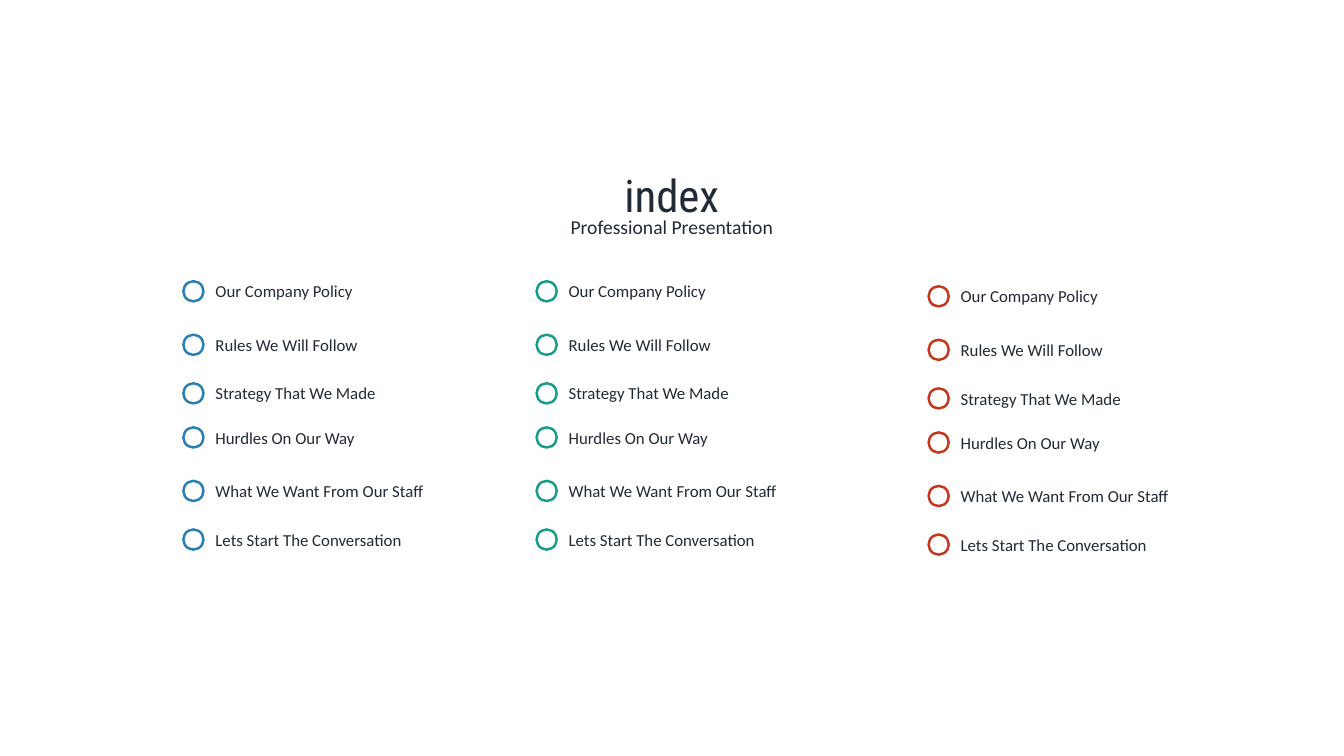
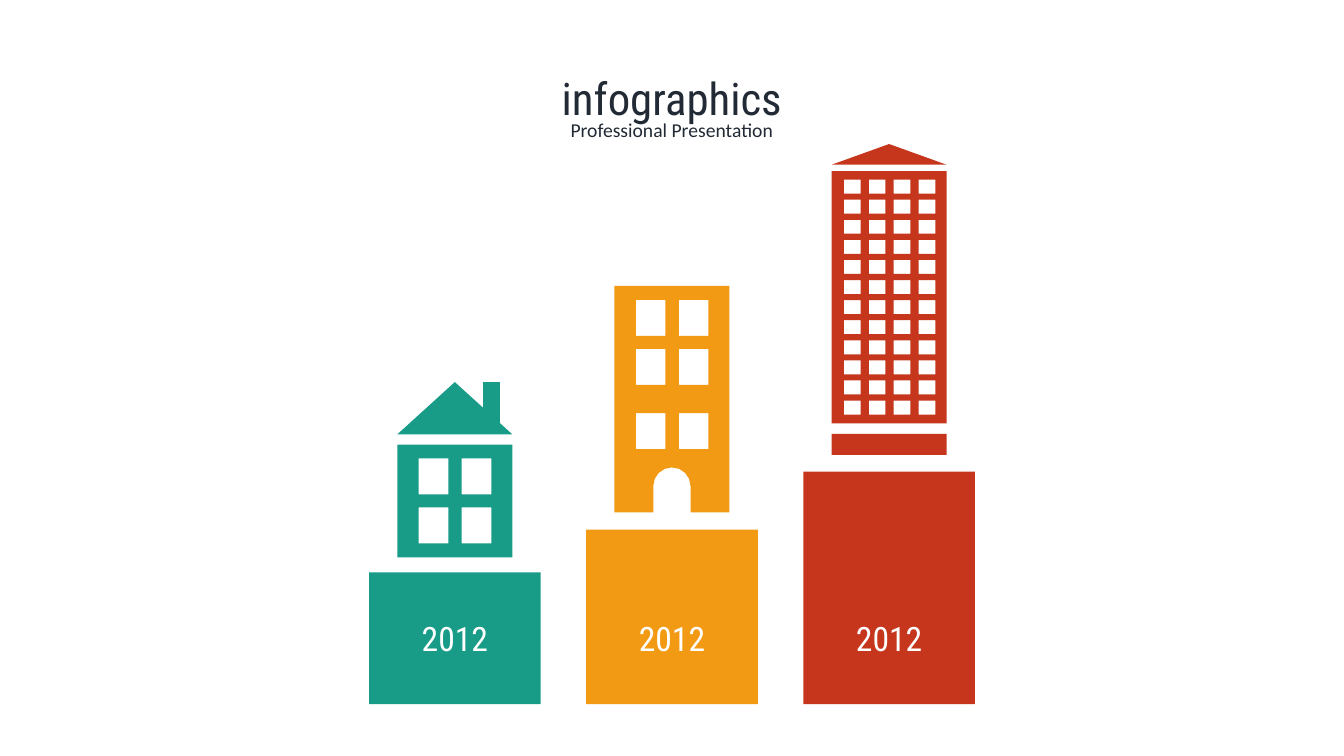
from math import cos, pi, sin

from pptx import Presentation
from pptx.dml.color import RGBColor
from pptx.enum.shapes import MSO_SHAPE
from pptx.enum.text import MSO_AUTO_SIZE, PP_ALIGN
from pptx.util import Pt

COLORS = {
    "ink": "222A35",
    "white": "FFFFFF",
    "blue": "267FB5",
    "green": "189C87",
    "orange": "F39A14",
    "red": "C5361C",
}
HEAD_FONT, BODY_FONT = "Roboto Condensed", "Calibri"
TOPICS = [
    "Our Company Policy", "Rules We Will Follow", "Strategy That We Made",
    "Hurdles On Our Way", "What We Want From Our Staff", "Lets Start The Conversation",
]
BUILDING_W = 82.2


def rgb(name):
    return RGBColor.from_string(COLORS[name])


# Shared drawing helpers
def add_text(slide, text, x, y, w, h, size, font=BODY_FONT, color="ink", align=PP_ALIGN.LEFT):
    tf = slide.shapes.add_textbox(Pt(x), Pt(y), Pt(w), Pt(h)).text_frame
    tf.word_wrap = True
    tf.auto_size = MSO_AUTO_SIZE.SHAPE_TO_FIT_TEXT
    p = tf.paragraphs[0]
    p.alignment = align
    r = p.add_run()
    r.text = text
    r.font.size, r.font.name = Pt(size), font
    r.font.color.rgb = rgb(color)


def paint(sp, fill, line=None):
    sp.shadow.inherit = False
    sp.fill.solid()
    sp.fill.fore_color.rgb = rgb(fill)
    if line:
        sp.line.color.rgb = rgb(line)
        sp.line.width = Pt(1.75)
    else:
        sp.line.fill.background()


def add_preset(slide, kind, x, y, w, h, fill, line=None):
    sp = slide.shapes.add_shape(kind, Pt(x), Pt(y), Pt(w), Pt(h))
    paint(sp, fill, line)


def add_outline(slide, x, y, contours, fill):
    """Draw closed contours, given relative to (x, y), as one shape."""
    placed = [[(Pt(x + dx), Pt(y + dy)) for dx, dy in c] for c in contours]
    builder = slide.shapes.build_freeform(*placed[0][0])
    builder.add_line_segments(placed[0][1:])
    for contour in placed[1:]:
        builder.move_to(*contour[0])
        builder.add_line_segments(contour[1:])
    paint(builder.convert_to_shape(), fill)


def add_heading(slide, title, y):
    add_text(slide, title, 63.4, y, 833, 46, 32, HEAD_FONT, align=PP_ALIGN.CENTER)
    add_text(slide, "Professional Presentation", 63.4, y + 33.8, 833, 24.5, 14,
             align=PP_ALIGN.CENTER)


# Index slide
def topic_list(slide, x, y, color):
    steps = (0, 38.2, 72.9)
    for i, topic in enumerate(TOPICS):
        row_y = y + i // 3 * 104.4 + steps[i % 3]
        add_preset(slide, MSO_SHAPE.OVAL, x, row_y + 3.6, 14.4, 14.4, "white", color)
        add_text(slide, topic, x + 15.8, row_y, 264, 21.6, 12)


def index_slide(slide):
    add_heading(slide, "index", 116)
    for x, y, color in ((131, 197.3, "blue"), (383.3, 197.3, "green"), (663.3, 200.9, "red")):
        topic_list(slide, x, y, color)


# Buildings
def closed(points):
    return points + points[:1]


def windows(cols, rows, x, y, w, h, step_x, step_y):
    """Holes on a regular grid, wound against the wall around them."""
    corners = ((0, 0), (0, h), (w, h), (w, 0))
    return [closed([(x + c * step_x + dx, y + r * step_y + dy) for dx, dy in corners])
            for r in range(rows) for c in range(cols)]


def large_windows(rows):
    return windows(2, rows, 15.3, 10, 21.2, 25.6, 30.7, 35)


def wall(h, door=()):
    return closed([(0, 0), (BUILDING_W, 0), (BUILDING_W, h), *door, (0, h)])


def gable(h):
    return closed([(BUILDING_W / 2, 0), (BUILDING_W, h), (0, h)])


def house(slide, x, y, color):
    add_outline(slide, x, y, [gable(37.4)], color)
    add_preset(slide, MSO_SHAPE.RECTANGLE, x + 61.3, y, 12, 29.5, color)
    add_outline(slide, x, y + 44.6, [wall(80.6)] + large_windows(2), color)


def office(slide, x, y, color):
    floor_h, radius, spring_y, mid = 80.9, 13.3, 62, BUILDING_W / 2
    arch = [(mid + radius * cos(k * pi / 8), spring_y - radius * sin(k * pi / 8))
            for k in range(9)]
    door = [(mid + radius, floor_h), *arch, (mid - radius, floor_h)]
    add_outline(slide, x, y, [wall(floor_h)] + large_windows(2), color)
    add_outline(slide, x, y + floor_h, [wall(floor_h, door)] + large_windows(1), color)


def tower(slide, x, y, color):
    add_outline(slide, x, y, [gable(14.8)], color)
    panes = windows(4, 12, 8.8, 6, 11.9, 10, 17.8, 14.35)
    add_outline(slide, x, y + 19.4, [wall(180.2)] + panes, color)
    add_preset(slide, MSO_SHAPE.RECTANGLE, x, y + 207, BUILDING_W, 15.1, color)


# Infographic slide
def pedestal(slide, x, top, color):
    w, bottom = 122.6, 503
    add_preset(slide, MSO_SHAPE.RECTANGLE, x, top, w, bottom - top, color)
    add_text(slide, "2012", x, bottom - 65.2, w, 36, 24, HEAD_FONT, "white", PP_ALIGN.CENTER)


def infographic_slide(slide):
    stages = (
        (house, 272.9, 408.8, "green"),
        (office, 204.3, 378.3, "orange"),
        (tower, 102.9, 336.8, "red"),
    )
    for i, (building, building_y, pedestal_y, color) in enumerate(stages):
        x = 263.6 + i * 155.1
        pedestal(slide, x, pedestal_y, color)
        building(slide, x + 20.2, building_y, color)
    add_heading(slide, "infographics", 46.8)


def main():
    prs = Presentation()
    prs.slide_width, prs.slide_height = Pt(960), Pt(540)
    for build in (index_slide, infographic_slide):
        build(prs.slides.add_slide(prs.slide_layouts[6]))
    prs.save("out.pptx")


if __name__ == "__main__":
    main()
